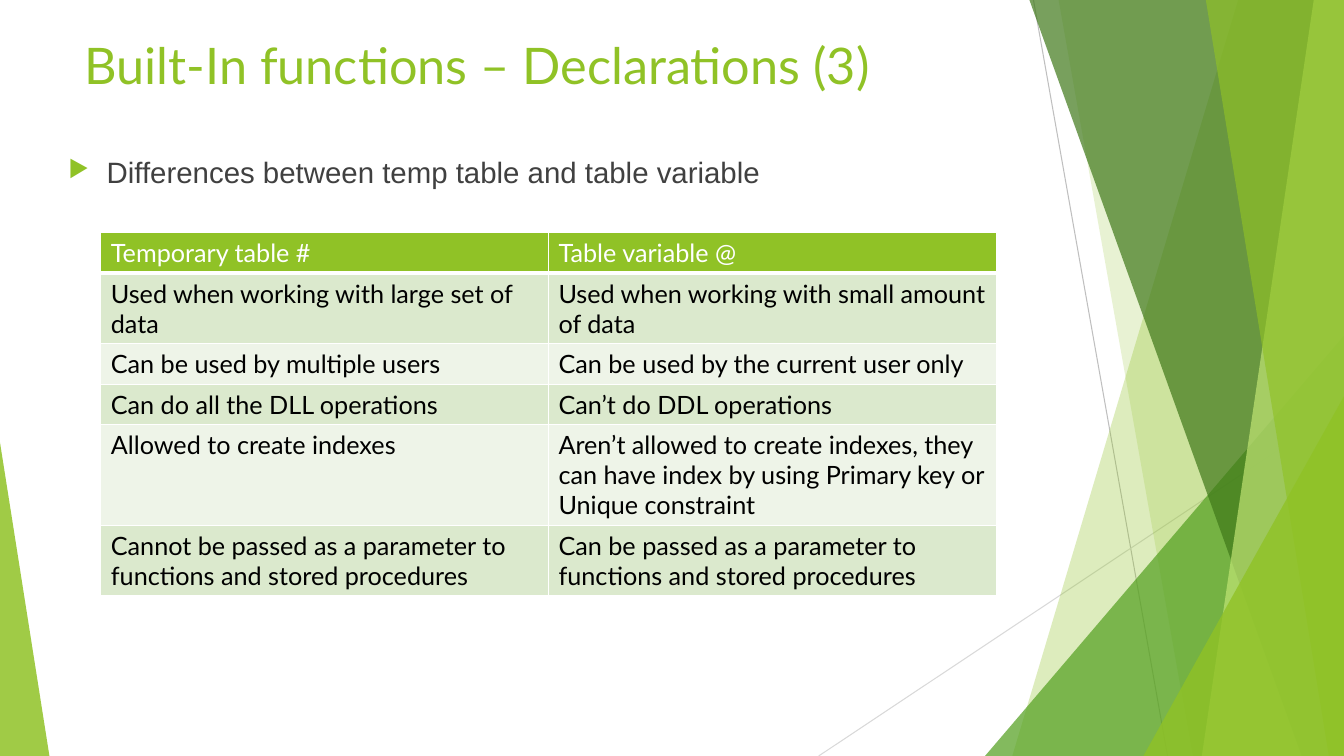
import pptx
import pptx.util
import pptx.dml.color
import pptx.enum.shapes
import pptx.enum.text
import pptx.oxml
import pptx.oxml.ns
import lxml.etree as etree

RGBColor = pptx.dml.color.RGBColor
Inches = pptx.util.Inches
Pt = pptx.util.Pt
qn = pptx.oxml.ns.qn

WIDTH, HEIGHT = 13.33, 7.5
LIME = RGBColor(0x90, 0xC2, 0x26)
GREEN = RGBColor(0x54, 0xA0, 0x21)
FOREST = RGBColor(0x3F, 0x78, 0x19)
PALE_LIME = RGBColor(0xC0, 0xE4, 0x74)
BAND_DARK = RGBColor(0xDB, 0xE9, 0xCD)
BAND_LIGHT = RGBColor(0xEE, 0xF4, 0xE8)
GRAY = RGBColor(0xBF, 0xBF, 0xBF)
LIGHT_GRAY = RGBColor(0xD9, 0xD9, 0xD9)
BODY_GRAY = RGBColor(0x40, 0x40, 0x40)
BLACK = RGBColor(0, 0, 0)
WHITE = RGBColor(0xFF, 0xFF, 0xFF)

TITLE = "Built-In functions – Declarations (3)"
TOPIC = "Differences between temp table and table variable"
# Left cell, right cell, lines of text in the taller one
COMPARISON = [
    ("Temporary table #", "Table variable @", 1),
    ("Used when working with large set of data",
     "Used when working with small amount of data", 2),
    ("Can be used by multiple users", "Can be used by the current user only", 1),
    ("Can do all the DLL operations", "Can’t do DDL operations", 1),
    ("Allowed to create indexes",
     "Aren’t allowed to create indexes, they can have index by using "
     "Primary key or Unique constraint", 3),
    ("Cannot be passed as a parameter to functions and stored procedures",
     "Can be passed as a parameter to functions and stored procedures", 2),
]
TABLE_LEFT, TABLE_TOP, COLUMN_WIDTH = 1, 2.31, 4.44
LINE_HEIGHT, CELL_PADDING = 0.3, 0.1

# Start, end, colour
RAYS = [((10.25, 0), (11.58, HEIGHT), GRAY),
        ((WIDTH, 4.03), (8.12, HEIGHT), LIGHT_GRAY)]
# Bands reach the right edge: (top x, bottom x); triangles: (left, top, width, apex)
FACETS = [
    ("band", (12.28, 10.04), LIME, 30),
    ("band", (10.5, 11.83), LIME, 20),
    ("triangle", (9.77, 3.33, 3.56, 1), GREEN, 72),
    ("band", (10.21, 12.91), FOREST, 70),
    ("band", (13.03, 11.92), PALE_LIME, 70),
    ("band", (11.96, 13.18), LIME, 65),
    ("triangle", (11.34, 3.93, 1.99, 1), LIME, 80),
    ("triangle", (0, 4.39, 0.49, 0), LIME, 85),
]


def add_ray(slide, start, end, color):
    """Draw a thin line without shadow."""
    ray = slide.shapes.add_connector(
        pptx.enum.shapes.MSO_CONNECTOR.STRAIGHT,
        *(Inches(value) for value in start + end))
    ray.line.color.rgb = color
    ray.line.width = Pt(0.75)
    etree.SubElement(ray._element.spPr, qn("a:effectLst"))


def add_facet(slide, kind, geometry, color, opacity):
    """Draw a translucent band or a triangle standing on the bottom edge."""
    if kind == "band":
        top_x, bottom_x = geometry
        corners = [(WIDTH, 0), (WIDTH, HEIGHT), (bottom_x, HEIGHT)]
        builder = slide.shapes.build_freeform(Inches(top_x), 0)
        builder.add_line_segments([(Inches(x), Inches(y)) for x, y in corners])
        facet = builder.convert_to_shape()
    else:
        left, top, width, apex = geometry
        facet = slide.shapes.add_shape(
            pptx.enum.shapes.MSO_SHAPE.ISOSCELES_TRIANGLE,
            Inches(left), Inches(top), Inches(width), Inches(HEIGHT - top))
        facet.adjustments[0] = apex
    facet.shadow.inherit = False
    facet.line.fill.background()
    facet.fill.solid()
    facet.fill.fore_color.rgb = color
    tint = facet._element.spPr.find(qn("a:solidFill"))[0]
    etree.SubElement(tint, qn("a:alpha"), val=str(opacity * 1000))


def format_run(paragraph, font_name, size, color):
    """Set the font of a paragraph's only run."""
    font = paragraph.runs[0].font
    font.name, font.size = font_name, Pt(size)
    font.color.rgb = color


def add_text(slide, text, box, font_name, size, color):
    """Add a wrapped text box and return its paragraph."""
    frame = slide.shapes.add_textbox(*(Inches(value) for value in box)).text_frame
    frame.word_wrap = True
    frame.vertical_anchor = pptx.enum.text.MSO_ANCHOR.TOP
    frame.text = text
    format_run(frame.paragraphs[0], font_name, size, color)
    return frame.paragraphs[0]


def add_bullet(paragraph):
    """Give a paragraph a hanging lime arrow bullet."""
    paragraph.space_before = Pt(10)
    properties = paragraph._p.get_or_add_pPr()
    indent = Inches(0.38)
    properties.set("marL", str(indent))
    properties.set("indent", str(-indent))
    bullet_color = etree.SubElement(properties, qn("a:buClr"))
    etree.SubElement(bullet_color, qn("a:srgbClr"), val=str(LIME))
    etree.SubElement(properties, qn("a:buSzPct"), val="80000")
    etree.SubElement(properties, qn("a:buChar"), char="▶")


def set_borders(cell, top, bottom):
    """Put white borders round a cell, with the given top and bottom points."""
    properties = cell._tc.get_or_add_tcPr()
    sides = [("a:lnL", 1), ("a:lnR", 1), ("a:lnT", top), ("a:lnB", bottom)]
    for place, (side, points) in enumerate(sides):
        border = etree.Element(qn(side), w=str(Pt(points)))
        fill = etree.SubElement(border, qn("a:solidFill"))
        etree.SubElement(fill, qn("a:srgbClr"), val=str(WHITE))
        properties.insert(place, border)


def add_comparison(slide):
    """Add the banded two-column table."""
    heights = [CELL_PADDING + LINE_HEIGHT * lines for *_, lines in COMPARISON]
    table = slide.shapes.add_table(
        len(COMPARISON), 2, Inches(TABLE_LEFT), Inches(TABLE_TOP),
        Inches(2 * COLUMN_WIDTH), Inches(sum(heights))).table
    for column in table.columns:
        column.width = Inches(COLUMN_WIDTH)
    for row, (*texts, _) in enumerate(COMPARISON):
        table.rows[row].height = Inches(heights[row])
        band = BAND_DARK if row % 2 else BAND_LIGHT
        for column, text in enumerate(texts):
            cell = table.cell(row, column)
            cell.text = text
            format_run(cell.text_frame.paragraphs[0], "Lato", 18,
                       BLACK if row else WHITE)
            cell.fill.solid()
            cell.fill.fore_color.rgb = band if row else LIME
            set_borders(cell, 3 if row == 1 else 1, 1 if row else 3)


deck = pptx.Presentation()
deck.slide_width, deck.slide_height = Inches(WIDTH), Inches(HEIGHT)
slide = deck.slides.add_slide(deck.slide_layouts[6])
for ray in RAYS:
    add_ray(slide, *ray)
for facet in FACETS:
    add_facet(slide, *facet)
add_text(slide, TITLE, (0.74, 0.29, 9.4, 1.44), "Lato", 36, LIME)
add_bullet(add_text(slide, TOPIC, (0.58, 1.48, 9.4, 4.24), "Arial", 21, BODY_GRAY))
add_comparison(slide)
deck.save("out.pptx")
